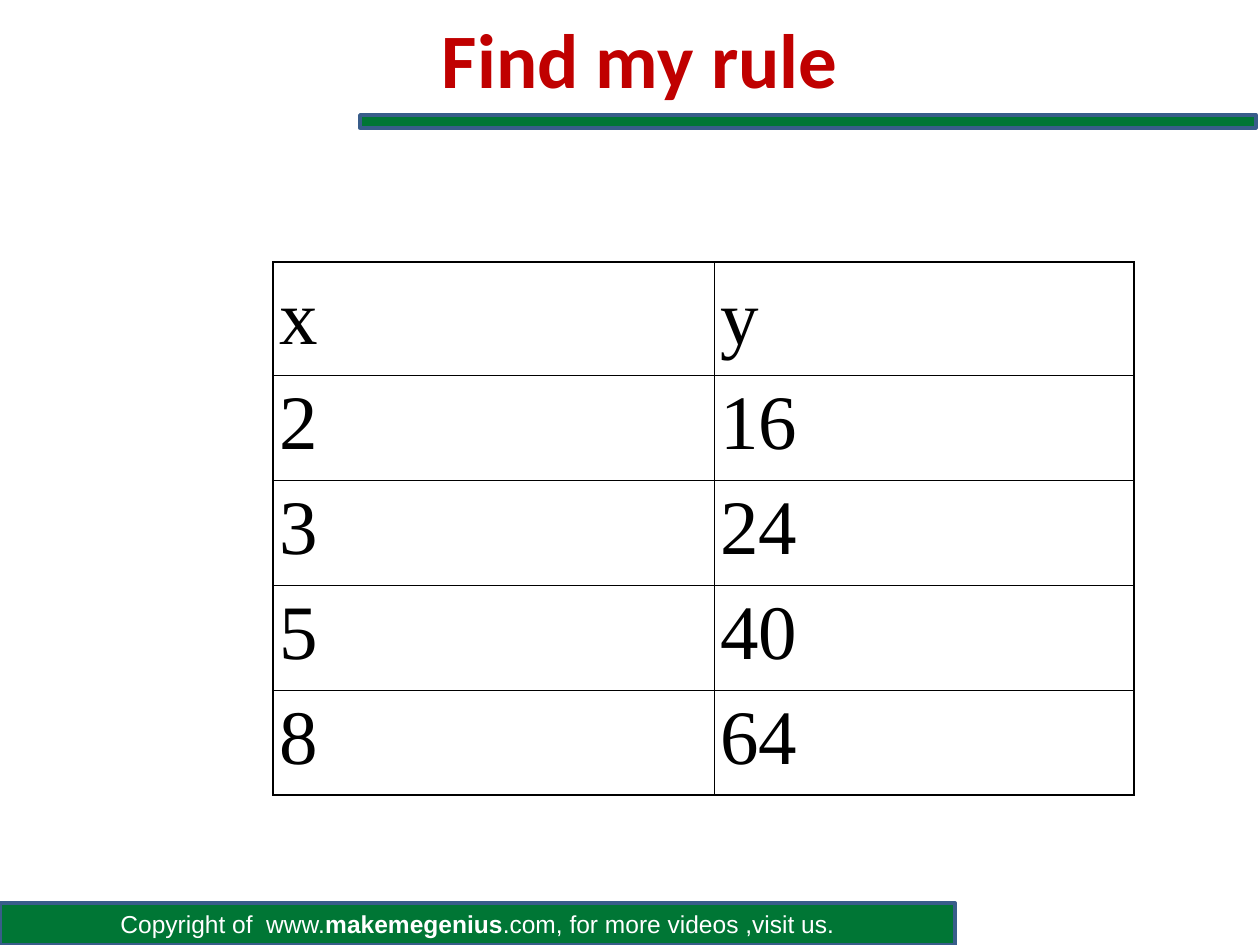
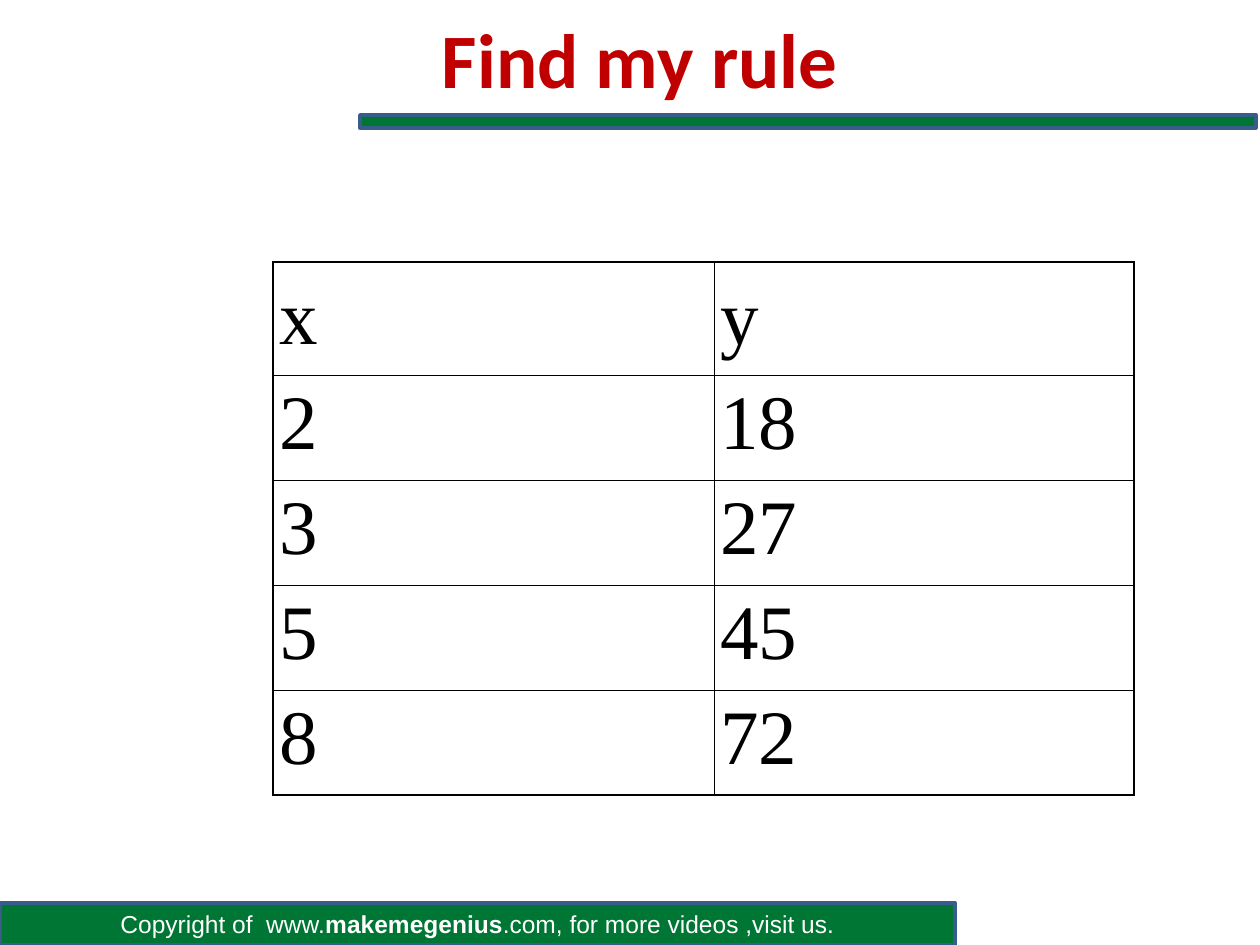
from dataclasses import dataclass

from lxml import etree
from pptx import Presentation
from pptx import util as u
from pptx.dml.color import RGBColor
from pptx.enum import shapes, text
from pptx.oxml import ns

EMU_PER_PX = 914400 / 126

GREEN = RGBColor(0x00, 0x76, 0x35)
BLUE = RGBColor(0x38, 0x5D, 0x8A)
RED = RGBColor(0xC0, 0x00, 0x00)
WHITE = RGBColor(0xFF, 0xFF, 0xFF)
BLACK = RGBColor(0x00, 0x00, 0x00)

TITLE_ONLY = 5
OUTER_LINE, INNER_LINE = u.Pt(1.08), u.Pt(0.45)
CELL_MARGIN = u.Inches(0.05)


def px(length: int) -> u.Emu:
    return u.Emu(round(length * EMU_PER_PX))


@dataclass(frozen=True)
class Box:
    left: int
    top: int
    width: int
    height: int

    def emu(self) -> tuple:
        return px(self.left), px(self.top), px(self.width), px(self.height)


@dataclass(frozen=True)
class Puzzle:
    title: str
    inputs: tuple
    multiplier: int

    def rows(self) -> list:
        return [("x", "y")] + [(x, x * self.multiplier) for x in self.inputs]


TITLE_BOX = Box(73, -21, 1134, 158)
TITLE_RULE = Box(360, 115, 896, 13)
FOOTER = Box(0, 903, 955, 42)
TABLE_LEFT, TABLE_TOP = 273, 262
COLUMN_WIDTHS = (441, 420)
HEADER_HEIGHT, ROW_HEIGHT = 113, 105

# Footer runs: wording and whether it is bold
FOOTER_RUNS = (
    ("Copyright of  www.", False),
    ("makemegenius", True),
    (".com, for more videos ,visit us.", False),
)

PUZZLES = (
    Puzzle("Find my rule", (2, 3, 5, 8), 8),
    Puzzle("Find my rule", (2, 3, 5, 8), 9),
)


def set_font(font, name: str, size: int, color: RGBColor) -> None:
    font.name = name
    font.size = u.Pt(size)
    font.color.rgb = color


def add_band(slide, box: Box):
    band = slide.shapes.add_shape(shapes.MSO_SHAPE.RECTANGLE, *box.emu())
    band.shadow.inherit = False
    band.fill.solid()
    band.fill.fore_color.rgb = GREEN
    band.line.color.rgb = BLUE
    band.line.width = u.Pt(2)
    return band


def add_footer(slide) -> None:
    frame = add_band(slide, FOOTER).text_frame
    frame.vertical_anchor = text.MSO_ANCHOR.MIDDLE
    paragraph = frame.paragraphs[0]
    paragraph.alignment = text.PP_ALIGN.CENTER
    set_font(paragraph.font, "Arial", 14, WHITE)
    for wording, bold in FOOTER_RUNS:
        run = paragraph.add_run()
        run.text = wording
        set_font(run.font, "Arial", 14, WHITE)
        run.font.bold = bold


def set_title(slide, wording: str) -> None:
    title = slide.shapes.title
    title.left, title.top, title.width, title.height = TITLE_BOX.emu()
    frame = title.text_frame
    frame.text = wording
    frame.auto_size = text.MSO_AUTO_SIZE.NONE
    frame.vertical_anchor = text.MSO_ANCHOR.MIDDLE
    paragraph = frame.paragraphs[0]
    paragraph.alignment = text.PP_ALIGN.CENTER
    set_font(paragraph.font, "Calibri", 44, RED)
    paragraph.font.bold = True


def set_border(cell, side: str, width: int) -> None:
    properties = cell._tc.get_or_add_tcPr()
    line = etree.SubElement(properties, ns.qn(f"a:ln{side}"), w=str(width))
    fill = etree.SubElement(line, ns.qn("a:solidFill"))
    etree.SubElement(fill, ns.qn("a:srgbClr"), val=str(BLACK))


def format_cell(cell, value, is_header: bool) -> None:
    cell.text = str(value)
    cell.margin_left = cell.margin_right = CELL_MARGIN
    cell.margin_top = cell.margin_bottom = CELL_MARGIN
    cell.vertical_anchor = text.MSO_ANCHOR.MIDDLE if is_header else text.MSO_ANCHOR.TOP
    set_font(cell.text_frame.paragraphs[0].font, "Times New Roman", 44, BLACK)


def add_value_table(slide, rows: list) -> None:
    row_count, column_count = len(rows), len(COLUMN_WIDTHS)
    heights = [HEADER_HEIGHT] + [ROW_HEIGHT] * (row_count - 1)
    box = Box(TABLE_LEFT, TABLE_TOP, sum(COLUMN_WIDTHS), sum(heights))
    table = slide.shapes.add_table(row_count, column_count, *box.emu()).table
    table.first_row = table.horz_banding = False
    for column, width in zip(table.columns, COLUMN_WIDTHS):
        column.width = px(width)
    for row, height in zip(table.rows, heights):
        row.height = px(height)

    for i, values in enumerate(rows):
        for j, value in enumerate(values):
            cell = table.cell(i, j)
            format_cell(cell, value, is_header=i == 0)
            # The outer frame is thicker than the inner grid
            on_frame = {"L": j == 0, "R": j == column_count - 1,
                        "T": i == 0, "B": i == row_count - 1}
            for side, is_outer in on_frame.items():
                set_border(cell, side, OUTER_LINE if is_outer else INNER_LINE)
            cell.fill.background()


def add_puzzle_slide(presentation, puzzle: Puzzle) -> None:
    slide = presentation.slides.add_slide(presentation.slide_layouts[TITLE_ONLY])
    add_footer(slide)
    add_band(slide, TITLE_RULE)
    set_title(slide, puzzle.title)
    add_value_table(slide, puzzle.rows())


def main() -> None:
    presentation = Presentation()
    presentation.slide_width = u.Inches(10)
    presentation.slide_height = u.Inches(7.5)
    for puzzle in PUZZLES:
        add_puzzle_slide(presentation, puzzle)
    presentation.save("out.pptx")


if __name__ == "__main__":
    main()
